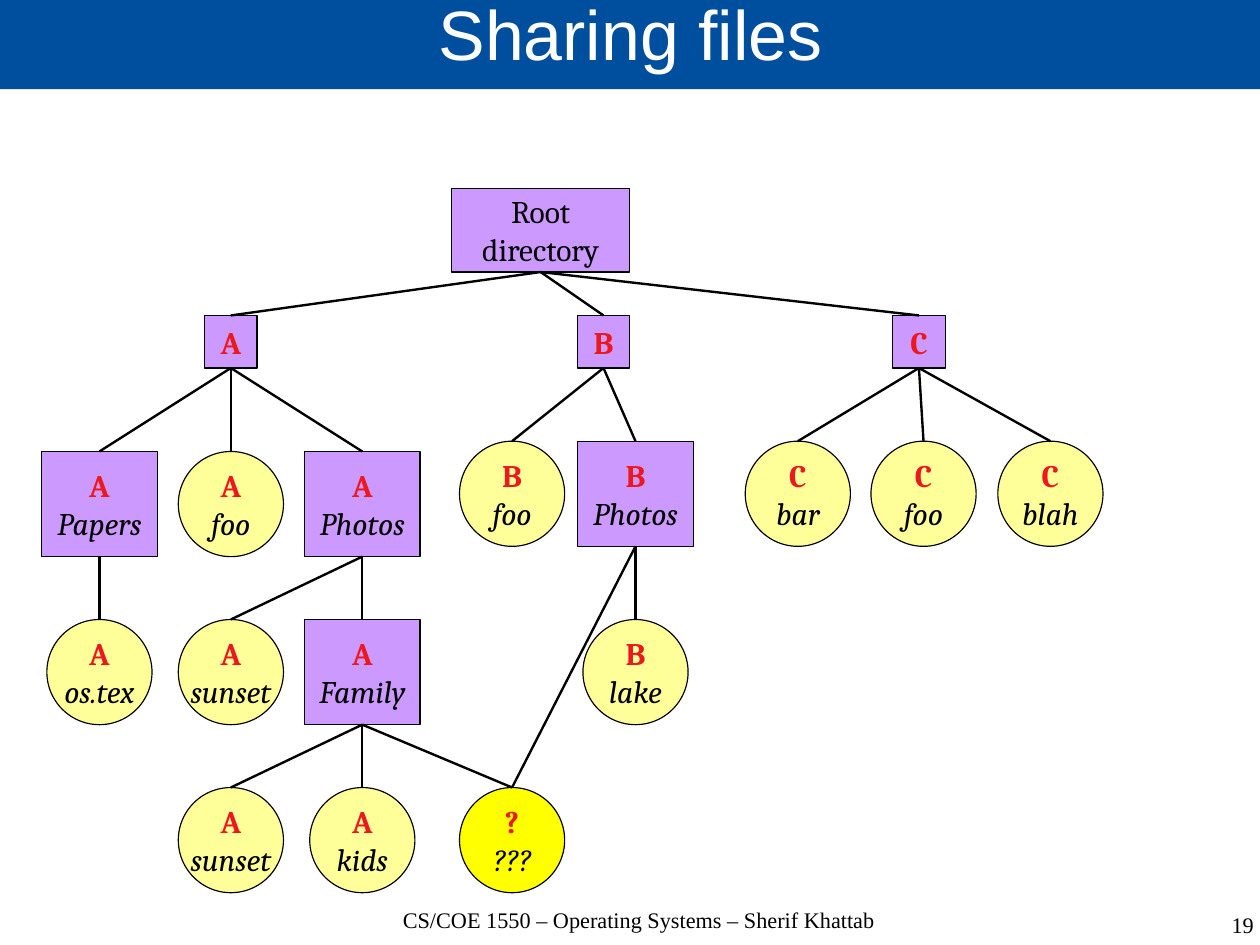
from lxml.etree import SubElement
from pptx import Presentation
from pptx.dml.color import RGBColor
from pptx.enum.shapes import MSO_CONNECTOR as Link, MSO_SHAPE as Kind
from pptx.enum.text import MSO_ANCHOR as Anchor, PP_ALIGN as Align
from pptx.oxml.ns import qn
from pptx.util import Inches, Pt

BLUE = RGBColor(0x00, 0x4F, 0x9E)
WHITE = RGBColor(0xFF, 0xFF, 0xFF)
BLACK = RGBColor(0x00, 0x00, 0x00)
RED = RGBColor(0xED, 0x18, 0x1E)
PURPLE = RGBColor(0xCC, 0x99, 0xFF)
PALE = RGBColor(0xFF, 0xFF, 0x99)
YELLOW = RGBColor(0xFF, 0xFF, 0x00)

NODE = {"name": "Cambria", "size": Pt(19.8)}
OWNER = {**NODE, "bold": True}
LABEL = {**NODE, "italic": True}
TITLE = {"name": "Arial", "size": Pt(44)}
FOOT = {"name": "Times New Roman", "size": Pt(14)}
FLAT = {f"margin_{side}": 0 for side in ("left", "top", "right", "bottom")}

# Width, height, preset and fill of each sort of node
SORTS = {
    "root": (1.56, 0.73, Kind.RECTANGLE, PURPLE),
    "user": (0.46, 0.46, Kind.RECTANGLE, PURPLE),
    "dir": (1.01, 0.92, Kind.RECTANGLE, PURPLE),
    "file": (0.92, 0.92, Kind.OVAL, PALE),
    "shared": (0.92, 0.92, Kind.OVAL, YELLOW),
}

# Key, parents, sort, owner, label, centre x, top y
TREE = [
    ("root", [], "root", "", "Root\vdirectory", 4.73, 1.65),
    ("a", ["root"], "user", "A", "", 2.02, 2.76),
    ("b", ["root"], "user", "B", "", 5.28, 2.76),
    ("c", ["root"], "user", "C", "", 8.04, 2.76),
    ("papers", ["a"], "dir", "A", "Papers", 0.87, 3.95),
    ("a foo", ["a"], "file", "A", "foo", 2.02, 3.95),
    ("photos", ["a"], "dir", "A", "Photos", 3.17, 3.95),
    ("b foo", ["b"], "file", "B", "foo", 4.48, 3.86),
    ("b photos", ["b"], "dir", "B", "Photos", 5.56, 3.86),
    ("bar", ["c"], "file", "C", "bar", 6.98, 3.86),
    ("c foo", ["c"], "file", "C", "foo", 8.08, 3.86),
    ("blah", ["c"], "file", "C", "blah", 9.19, 3.86),
    ("os.tex", ["papers"], "file", "A", "os.tex", 0.87, 5.42),
    ("sunset", ["photos"], "file", "A", "sunset", 2.02, 5.42),
    ("family", ["photos"], "dir", "A", "Family", 3.17, 5.42),
    ("lake", ["b photos"], "file", "B", "lake", 5.56, 5.42),
    ("dusk", ["family"], "file", "A", "sunset", 2.02, 6.89),
    ("kids", ["family"], "file", "A", "kids", 3.17, 6.89),
    ("shared", ["family", "b photos"], "shared", "?", "???", 4.48, 6.89),
]


def apply(item, values):
    for key, value in values.items():
        setattr(item, key, value)


def add_run(para, text, style, color):
    run = para.add_run()
    run.text = text
    apply(run.font, style)
    run.font.color.rgb = color


def add_box(slide, kind, box, fill):
    shape = slide.shapes.add_shape(kind, *map(Inches, box))
    shape.shadow.inherit = False
    shape.fill.solid()
    shape.fill.fore_color.rgb = fill
    shape.text_frame.vertical_anchor = Anchor.MIDDLE
    return shape


def add_title(slide, text):
    bar = add_box(slide, Kind.RECTANGLE, (0, -0.02, 11.04, 0.8), BLUE)
    bar.line.fill.background()
    apply(bar.text_frame, FLAT)
    para = bar.text_frame.paragraphs[0]
    apply(para, {"alignment": Align.CENTER, "line_spacing": 0.69})
    add_run(para, text, TITLE, WHITE)


def add_foot(slide, text, box, align):
    frame = slide.shapes.add_textbox(*map(Inches, box)).text_frame
    apply(frame, {**FLAT, "word_wrap": True})
    para = frame.paragraphs[0]
    apply(para, {"alignment": align, "line_spacing": 0.96})
    add_run(para, text, FOOT, BLACK)


def add_node(slide, sort, owner, label, mid, top):
    wide, high, kind, fill = SORTS[sort]
    shape = add_box(slide, kind, (mid - wide / 2, top, wide, high), fill)
    shape.line.color.rgb = BLACK
    shape.line.width = Pt(0.75)
    frame = shape.text_frame
    frame.word_wrap = False
    para = frame.paragraphs[0]
    para.alignment = Align.CENTER
    if not owner:
        para.text = label
        for run in para.runs:
            apply(run.font, NODE)
            run.font.color.rgb = BLACK
        return shape
    add_run(para, owner, OWNER, RED)
    if label:
        if sort == "dir":
            para = frame.add_paragraph()
            para.alignment = Align.CENTER
        else:
            para.add_line_break()
        add_run(para, label, LABEL, BLACK)
    return shape


def add_link(slide, parent, child):
    link = slide.shapes.add_connector(Link.STRAIGHT, 0, 0, 0, 0)
    link.begin_connect(parent, 2)
    link.end_connect(child, 0)
    link.line.color.rgb = BLACK
    link.line.width = Pt(1.5)
    SubElement(link.element.spPr, qn("a:effectLst"))


def main():
    deck = Presentation()
    # A page of 28 by 21 centimetres
    deck.slide_width = Inches(28 / 2.54)
    deck.slide_height = Inches(21 / 2.54)
    slide = deck.slides.add_slide(deck.slide_layouts[6])

    # Title bar and footer
    add_title(slide, "Sharing files")
    add_foot(slide, "CS/COE 1550 – Operating Systems – Sherif Khattab",
             (3.07, 7.94, 5.04, 0.55), Align.CENTER)
    add_foot(slide, "19", (8.44, 7.99, 2.53, 0.55), Align.RIGHT)

    # Directory tree, each node joined to its parents
    nodes = {}
    for key, parents, *rest in TREE:
        nodes[key] = add_node(slide, *rest)
        for parent in parents:
            add_link(slide, nodes[parent], nodes[key])

    deck.save("out.pptx")


if __name__ == "__main__":
    main()
